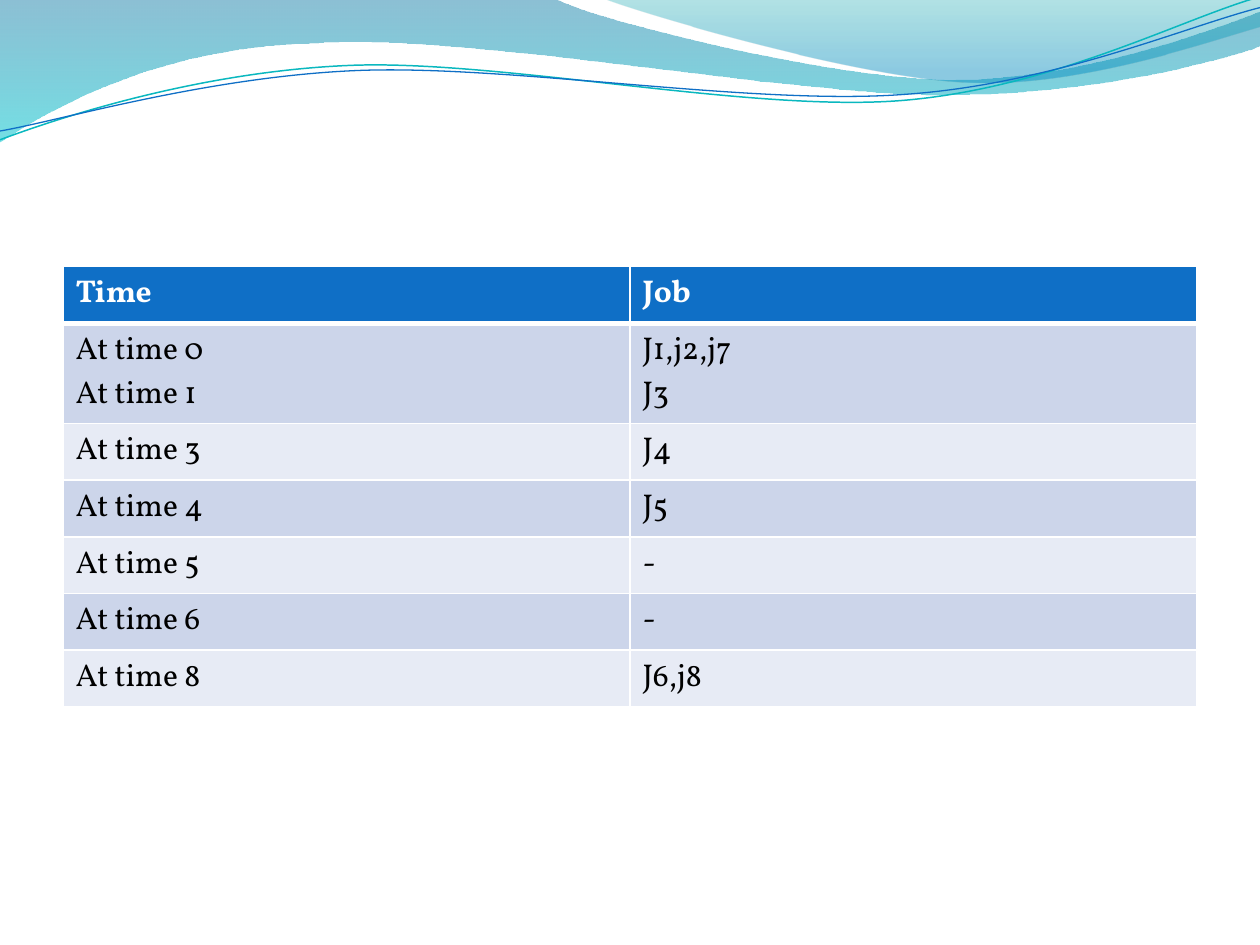
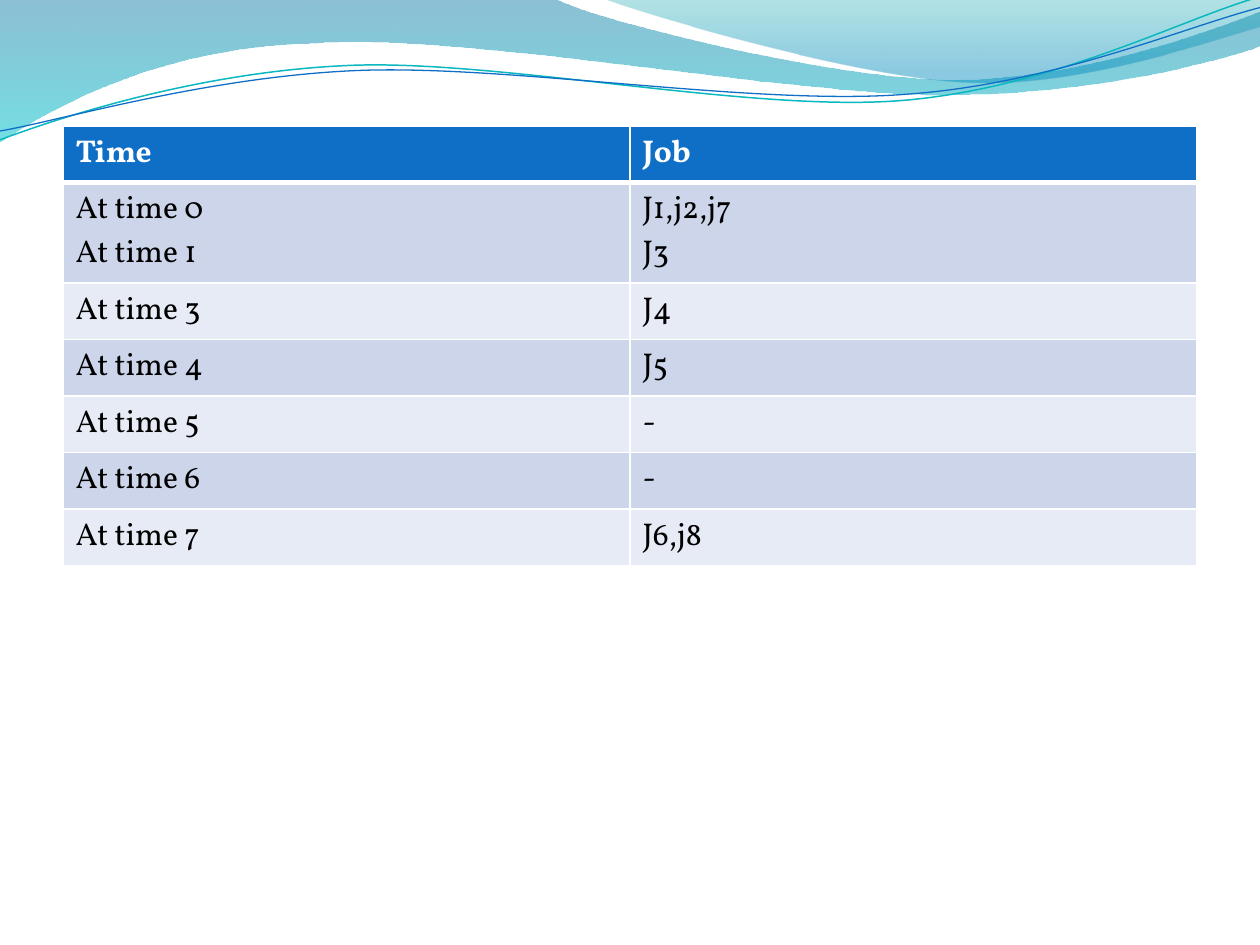
from dataclasses import dataclass
from math import cos, radians, sin
from typing import Optional

from lxml.etree import SubElement
from pptx import Presentation
from pptx.dml.color import RGBColor
from pptx.oxml import parse_xml
from pptx.oxml.ns import nsdecls, qn
from pptx.util import Inches, Pt

COLORS = {
    "deep": "0074A1",
    "aqua": "00C6CF",
    "teal": "00A1A9",
    "sky": "008BBF",
    "thread": "0AB8BF",
    "accent": "0F6FC6",
    "band": "CCD5EA",
    "pale": "E7EBF5",
    "white": "FFFFFF",
    "black": "000000",
}
FONT = "Vollkorn"
GRID_COLUMNS = 1000
TABLE_LEFT, TABLE_WIDTH, ROW_HEIGHT = 50, 900, 41
THREAD_TILT = 357.3


@dataclass(frozen=True)
class Stop:
    position: float
    color: str
    opacity: int


@dataclass(frozen=True)
class Wave:
    box: tuple
    start: tuple
    segments: tuple
    stops: tuple = ()
    line: Optional[str] = None
    weight: float = 0
    rotation: float = 0


@dataclass(frozen=True)
class Schedule:
    top: float
    last_time: int


RIBBONS = (
    Wave(
        (-1, -1, 1002, 114),
        (0, 0),
        (
            (440, -1),
            (476, 17, 664, 63, 758, 63),
            (853, 63, 958, 26, 1000, 9),
            (1001, 36),
            (983, 44, 870, 76, 746, 75),
            (622, 75, 382, 28, 257, 34),
            (129, 36, 46, 83, -1, 113),
            (0, 0),
        ),
        stops=(Stop(0, "deep", 45), Stop(1, "aqua", 55)),
    ),
    Wave(
        (479, -1, 521, 70),
        (479, -1),
        (
            (509, 11, 682, 62, 769, 65),
            (856, 69, 961, 32, 1000, 21),
            (1000, 0),
            (479, -1),
        ),
        stops=(Stop(0, "teal", 30), Stop(0.8, "sky", 45)),
    ),
)
THREADS = (
    Wave(
        (-2, 22, 1002, 71),
        (0, 111),
        (
            (48, 93, 158, 57, 277, 52),
            (395, 47, 593, 89, 713, 80),
            (833, 71, 938, 15, 998, -2),
        ),
        line="thread",
        weight=0.85,
        rotation=THREAD_TILT,
    ),
    Wave(
        (-2, 30, 1003, 58),
        (0, 104),
        (
            (47, 96, 164, 61, 283, 56),
            (403, 51, 597, 84, 717, 75),
            (836, 67, 941, 21, 1000, 6),
        ),
        line="accent",
        weight=0.75,
        rotation=THREAD_TILT,
    ),
)
SCHEDULES = (Schedule(top=211.67, last_time=8), Schedule(top=100, last_time=7))


def rgb(name: str) -> RGBColor:
    return RGBColor.from_string(COLORS[name])


def to_local(x: float, y: float, wave: Wave) -> tuple:
    left, top, width, height = wave.box
    angle = radians(-wave.rotation)
    across, down = x - left - width / 2, y - top - height / 2
    return (
        across * cos(angle) - down * sin(angle) + width / 2,
        across * sin(angle) + down * cos(angle) + height / 2,
    )


def curve_outline(shape, wave: Wave, unit: float) -> None:
    outline = next(shape.element.iter(qn("a:path")))
    for child in list(outline):
        outline.remove(child)
    outline.set("w", str(int(shape.width)))
    outline.set("h", str(int(shape.height)))
    for index, numbers in enumerate((wave.start, *wave.segments)):
        kind = "a:moveTo" if index == 0 else "a:lnTo" if len(numbers) == 2 else "a:cubicBezTo"
        step = SubElement(outline, qn(kind))
        for x, y in zip(numbers[::2], numbers[1::2]):
            point = SubElement(step, qn("a:pt"))
            for axis, value in zip("xy", to_local(x, y, wave)):
                point.set(axis, str(round(value * unit)))
    if wave.stops:
        SubElement(outline, qn("a:close"))


def draw_wave(page, wave: Wave, unit: float):
    builder = page.shapes.build_freeform(*wave.start, scale=unit)
    builder.add_line_segments([segment[-2:] for segment in wave.segments], close=False)
    shape = builder.convert_to_shape()
    shape.left, shape.top, shape.width, shape.height = (
        round(side * unit) for side in wave.box
    )
    curve_outline(shape, wave, unit)
    shape.rotation = wave.rotation
    shape.shadow.inherit = False
    if wave.line:
        shape.fill.background()
        shape.line.color.rgb = rgb(wave.line)
        shape.line.width = Pt(wave.weight)
        return shape
    shape.line.fill.background()
    shape.fill.gradient()
    shape.fill.gradient_angle = 270
    for target, stop in zip(shape.fill.gradient_stops, wave.stops):
        target.position = stop.position
        target.color.rgb = rgb(stop.color)
    for color, stop in zip(shape.element.spPr.iter(qn("a:srgbClr")), wave.stops):
        SubElement(color, qn("a:alpha")).set("val", str(stop.opacity * 1000))
    return shape


def dress_layout(layout, page, unit: float) -> None:
    for holder in list(layout.placeholders):
        layout.shapes.element.remove(holder.element)
    ribbons = [draw_wave(page, wave, unit) for wave in RIBBONS]
    threads = page.shapes.add_group_shape([draw_wave(page, wave, unit) for wave in THREADS])
    for shape in (*ribbons, threads):
        layout.shapes.element.append(shape.element)


def set_borders(cell, bottom: float) -> None:
    sides = (("lnL", 1), ("lnR", 1), ("lnT", 1), ("lnB", bottom))
    for index, (side, weight) in enumerate(sides):
        border = parse_xml(
            f'<a:{side} {nsdecls("a")} w="{Pt(weight)}"><a:solidFill>'
            f'<a:srgbClr val="{COLORS["white"]}"/></a:solidFill></a:{side}>'
        )
        cell._tc.get_or_add_tcPr().insert(index, border)


def write_cell(cell, lines: tuple, row: int) -> None:
    header = row == 0
    cell.fill.solid()
    cell.fill.fore_color.rgb = rgb("accent" if header else "band" if row % 2 else "pale")
    set_borders(cell, bottom=3 if header else 1)
    frame = cell.text_frame
    for index, line in enumerate(lines):
        para = frame.add_paragraph() if index else frame.paragraphs[0]
        span = para.add_run()
        span.text = line
        span.font.name = FONT
        span.font.size = Pt(18)
        span.font.bold = header
        span.font.color.rgb = rgb("white" if header else "black")


def draw_schedule(page, schedule: Schedule, unit: float) -> None:
    rows = (
        (("Time",), ("Job",)),
        (("At time 0", "At time 1"), ("J1,j2,j7", "J3")),
        (("At time 3",), ("J4",)),
        (("At time 4",), ("J5",)),
        (("At time 5",), ("-",)),
        (("At time 6",), ("-",)),
        ((f"At time {schedule.last_time}",), ("J6,j8",)),
    )
    box = (TABLE_LEFT, schedule.top, TABLE_WIDTH, ROW_HEIGHT * len(rows))
    table = page.shapes.add_table(len(rows), 2, *(int(side * unit) for side in box)).table
    for row, cells in enumerate(rows):
        for column, lines in enumerate(cells):
            write_cell(table.cell(row, column), lines, row)


def main() -> None:
    deck = Presentation()
    deck.slide_width, deck.slide_height = Inches(10), Inches(7.5)
    unit = deck.slide_width / GRID_COLUMNS
    layout = deck.slide_layouts[6]
    pages = [deck.slides.add_slide(layout) for _ in SCHEDULES]
    dress_layout(layout, pages[0], unit)
    for page, schedule in zip(pages, SCHEDULES):
        draw_schedule(page, schedule, unit)
    deck.save("out.pptx")


main()
